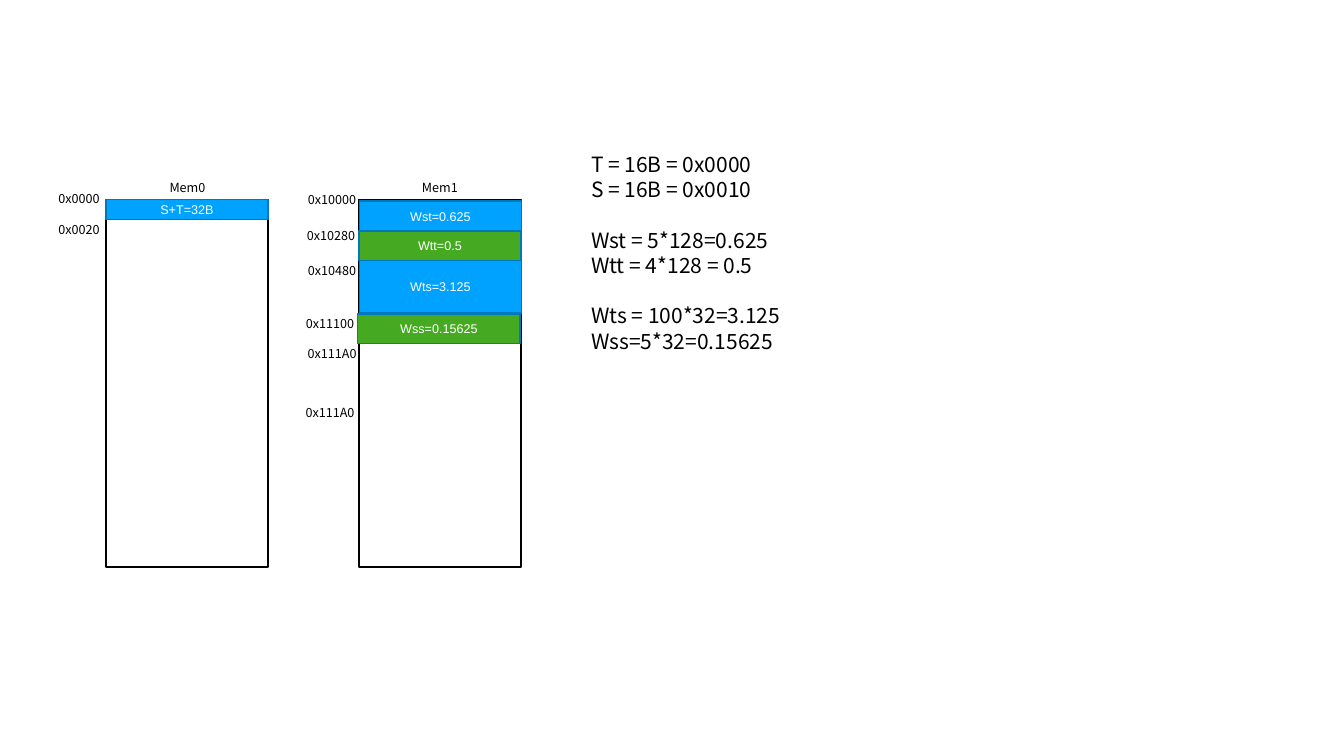
from dataclasses import dataclass

from pptx import Presentation
from pptx.dml.color import RGBColor
from pptx.enum.shapes import MSO_SHAPE
from pptx.enum.text import MSO_ANCHOR, MSO_AUTO_SIZE, PP_ALIGN
from pptx.shapes.autoshape import Shape
from pptx.slide import Slide
from pptx.text.text import _Paragraph
from pptx.util import Inches, Pt

COLORS = {"black": "000000", "white": "FFFFFF", "blue": "00A2FF",
          "green": "45AA21", "edge": "0078BD"}
LABEL_FONT, BLOCK_FONT = "Noto Sans CJK SC", "Arial"
MEM_W, MEM_H, MEM_TOP = 3.22, 7.29, 3.96
LABEL_W, LABEL_H = 1.1, 0.4


@dataclass
class Block:
    text: str
    left: float
    top: float
    height: float
    color: str


@dataclass
class Address:
    text: str
    left: float
    top: float


@dataclass
class Memory:
    name: Address
    left: float
    addresses: list[Address]
    blocks: list[Block]


MEMORIES = [
    Memory(Address("Mem0", 3.17, 3.52), 2.1,
           [Address("0x0000", 1.02, 3.74), Address("0x0020", 1.02, 4.36)],
           [Block("S+T=32B", 2.1, 3.96, 0.4, "blue")]),
    Memory(Address("Mem1", 8.18, 3.53), 7.12,
           [Address("0x10000", 6.04, 3.75), Address("0x10280", 6.02, 4.47),
            Address("0x10480", 6.04, 5.17), Address("0x11100", 6, 6.21),
            Address("0x111A0", 6.04, 6.82), Address("0x111A0", 6, 7.98)],
           [Block("Wst=0.625", 7.13, 3.99, 0.59, "blue"),
            Block("Wtt=0.5", 7.12, 4.58, 0.59, "green"),
            Block("Wts=3.125", 7.13, 5.17, 1.04, "blue"),
            Block("Wss=0.15625", 7.1, 6.23, 0.59, "green")]),
]

NOTES = [
    ["T = 16B = 0x0000", "S = 16B = 0x0010"],
    ["Wst = 5*128=0.625", "Wtt = 4*128 = 0.5"],
    ["Wts = 100*32=3.125", "Wss=5*32=0.15625"],
]


def rgb(name: str) -> RGBColor:
    """Return the named colour."""
    return RGBColor.from_string(COLORS[name])


def add_run(p: _Paragraph, text: str, size: float, font: str, color: str) -> None:
    """Add one formatted run to a paragraph."""
    r = p.add_run()
    r.text = text
    r.font.size, r.font.name = Pt(size), font
    r.font.color.rgb = rgb(color)


def add_rect(s: Slide, left: float, top: float, height: float,
             line: str, weight: float) -> Shape:
    """Add an unfilled rectangle as wide as a memory column."""
    sp = s.shapes.add_shape(MSO_SHAPE.RECTANGLE, Inches(left), Inches(top),
                            Inches(MEM_W), Inches(height))
    sp.shadow.inherit = False
    sp.fill.background()
    sp.line.color.rgb, sp.line.width = rgb(line), Pt(weight)
    return sp


def add_block(s: Slide, block: Block) -> None:
    """Add a filled memory region with its centred caption."""
    sp = add_rect(s, block.left, block.top, block.height, "edge", 2)
    sp.fill.solid()
    sp.fill.fore_color.rgb = rgb(block.color)
    tf = sp.text_frame
    tf.vertical_anchor = MSO_ANCHOR.MIDDLE
    p = tf.paragraphs[0]
    p.alignment = PP_ALIGN.CENTER
    add_run(p, block.text, 18, BLOCK_FONT, "white")


def add_box(s: Slide, left: float, top: float, width: float, height: float) -> Shape:
    """Add an empty wrapping text box with thin margins."""
    sp = s.shapes.add_textbox(Inches(left), Inches(top), Inches(width), Inches(height))
    tf = sp.text_frame
    tf.word_wrap, tf.auto_size = True, MSO_AUTO_SIZE.SHAPE_TO_FIT_TEXT
    tf.margin_left = tf.margin_right = tf.margin_top = tf.margin_bottom = Inches(0.05)
    return sp


def add_label(s: Slide, label: Address) -> None:
    """Add a centred name or address label."""
    p = add_box(s, label.left, label.top, LABEL_W, LABEL_H).text_frame.paragraphs[0]
    p.alignment = PP_ALIGN.CENTER
    add_run(p, label.text, 18, LABEL_FONT, "black")


def add_notes(s: Slide) -> None:
    """Add the size calculations in groups one line apart."""
    tf = add_box(s, 11.68, 2.96, 13.3, 4.14).text_frame
    for i, group in enumerate(NOTES):
        for j, text in enumerate(group):
            p = tf.add_paragraph() if i or j else tf.paragraphs[0]
            if i and not j:
                p.space_before = Pt(36)
            add_run(p, text, 30, LABEL_FONT, "black")


def add_memory(s: Slide, memory: Memory) -> None:
    """Draw one memory column with its labels and regions."""
    add_label(s, memory.name)
    add_rect(s, memory.left, MEM_TOP, MEM_H, "black", 2.25)
    for address in memory.addresses:
        add_label(s, address)
    for block in memory.blocks:
        add_block(s, block)


def main() -> None:
    """Build and save the memory map slide."""
    prs = Presentation()
    prs.slide_width, prs.slide_height = Inches(26.67), Inches(15)
    s = prs.slides.add_slide(prs.slide_layouts[6])
    for memory in MEMORIES:
        add_memory(s, memory)
    add_notes(s)
    prs.save("out.pptx")


if __name__ == "__main__":
    main()
